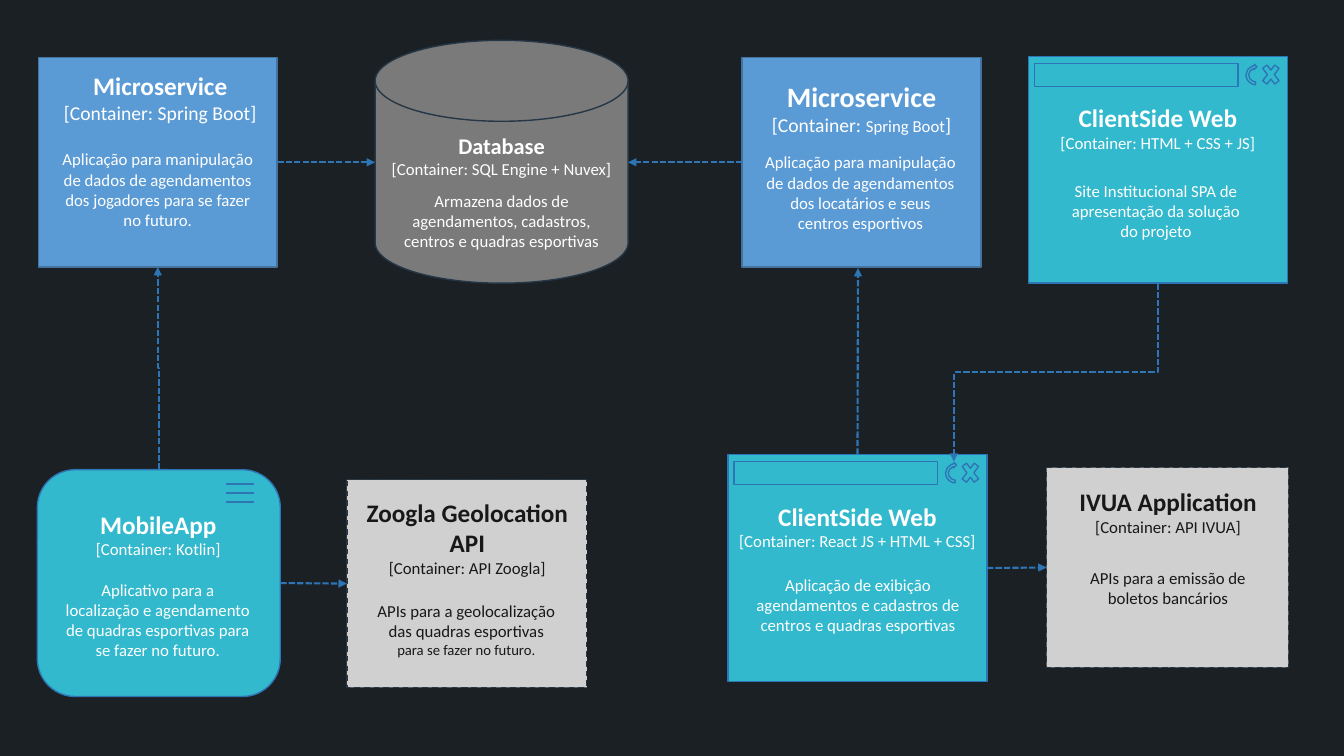
from pptx import Presentation
from pptx.dml.color import RGBColor
from pptx.enum.dml import MSO_LINE
from pptx.enum.shapes import MSO_CONNECTOR, MSO_SHAPE
from pptx.enum.text import MSO_AUTO_SIZE, PP_ALIGN
from pptx.oxml.ns import qn
from pptx.util import Inches, Pt
from lxml import etree

RECT = MSO_SHAPE.RECTANGLE
STRAIGHT, ELBOW = MSO_CONNECTOR.STRAIGHT, MSO_CONNECTOR.ELBOW
TOP, LEFT, BOTTOM, RIGHT = range(4)
FONT, BACKGROUND, BLUE = "Calibri", "1B2024", "2E75B6"

STYLES = {
    "service": dict(shape=RECT, fill="5B9BD5", line="43739E", dash=None, ink="FFFFFF"),
    "client": dict(shape=RECT, fill="32B9CD", line=BLUE, dash=None, ink="FFFFFF"),
    "mobile": dict(shape=MSO_SHAPE.ROUNDED_RECTANGLE, fill="32B9CD", line=BLUE, dash=None, ink="FFFFFF"),
    "store": dict(shape=MSO_SHAPE.FLOWCHART_MAGNETIC_DISK, fill="7A7A7A", line="253746", dash=None, ink="FFFFFF"),
    "external": dict(shape=RECT, fill="D0D0D0", line="253746", dash=MSO_LINE.DASH, ink="181818"),
}

# name: style, card box, heading box, heading, size, container runs, body box, body runs
# heading and body boxes are measured from the card's corner
CARDS = {
    "geolocation": ("external", (3.44, 4.76, 2.38, 2.06), (0.09, 0.12, 2.21, 0.91),
                    "Zoogla Geolocation API", 18, [("[Container: API Zoogla]", 12)],
                    (0.18, 1.15, 2.01, 0.68),
                    [("APIs para a geolocalização das quadras esportivas ", 12),
                     ("para se fazer no futuro.", 10.5)]),
    "database": ("store", (3.72, 0.4, 2.51, 2.41), (0.03, 0.86, 2.45, 0.57),
                 "Database", 16, [("[Container: SQL Engine + Nuvex]", 12)],
                 (0.11, 1.44, 2.29, 0.71),
                 [("Armazena dados de agendamentos, cadastros, centros e quadras esportivas", 12)]),
    "mobile": ("mobile", (0.37, 4.66, 2.41, 2.25), (-0.14, 0.34, 2.68, 0.61),
               "MobileApp", 18, [("[Container: Kotlin]", 12)],
               (0.17, 1.04, 2.05, 0.91),
               [("Aplicativo para a localização e agendamento de quadras esportivas "
                 "para se fazer no futuro.", 12)]),
    "venues": ("service", (7.36, 0.57, 2.37, 2.08), (0, 0.17, 2.37, 0.67),
               "Microservice", 20, [("[Container: ", 14), ("Spring Boot", 12), ("]", 14)],
               (0.11, 0.89, 2.13, 0.91),
               [("Aplicação para manipulação de dados de agendamentos dos locatários "
                 "e seus centros esportivos", 12)]),
    "payments": ("external", (10.38, 4.64, 2.4, 1.98), (0, 0.14, 2.41, 0.61),
                 "IVUA Application", 18, [("[Container: API IVUA]", 12)],
                 (0.24, 0.94, 1.93, 0.5),
                 [("APIs para a emissão de boletos bancários", 12)]),
    "app": ("client", (7.22, 4.51, 2.57, 2.25), (0, 0.41, 2.57, 0.61),
            "ClientSide Web", 18, [("[Container: React JS + HTML + CSS]", 12)],
            (-0.05, 1.14, 2.68, 0.71),
            [("Aplicação de exibição agendamentos e cadastros de centros e quadras esportivas", 12)]),
    "players": ("service", (0.38, 0.57, 2.37, 2.08), (0.03, 0.08, 2.36, 0.66),
                "Microservice", 18, [("[Container: Spring Boot]", 14)],
                (0.08, 0.86, 2.21, 0.91),
                [("Aplicação para manipulação de dados de agendamentos dos jogadores "
                  "para se fazer no futuro.", 12)]),
    "site": ("client", (10.2, 0.56, 2.57, 2.25), (0, 0.41, 2.57, 0.61),
             "ClientSide Web", 18, [("[Container: HTML + CSS + JS]", 12)],
             (0.26, 1.18, 2.01, 0.71),
             [("Site Institucional SPA de apresentação da solução do projeto", 12)]),
}
BROWSER = [(RECT, (0.06, 0.07, 2.02, 0.23), 0),
           (MSO_SHAPE.MATH_MULTIPLY, (2.29, 0.03, 0.23, 0.3), 0),
           (MSO_SHAPE.CIRCULAR_ARROW, (2.15, 0.07, 0.22, 0.23), 275)]
MENU_X, MENU_Y, MENU_WIDTH, MENU_STEP = 1.87, 0.14, 0.28, 0.09

# each end is a point, or a card and the side it joins
ARROWS = [
    (ELBOW, ("site", BOTTOM), (9.46, 4.58)),
    (STRAIGHT, ("venues", LEFT), (6.23, 1.61)),
    (STRAIGHT, ("players", RIGHT), (3.72, 1.61)),
    (ELBOW, ("mobile", TOP), ("players", BOTTOM)),
    (STRAIGHT, ("app", TOP), (8.51, 2.66)),
    (STRAIGHT, ("app", RIGHT), ("payments", LEFT)),
    (STRAIGHT, ("mobile", RIGHT), ("geolocation", LEFT)),
]


def color(value):
    return RGBColor.from_string(value)


def inside(card, box):
    return (card[0] + box[0], card[1] + box[1], *box[2:])


def add_shape(s, kind, box, fill, line, dash=None, rotation=0):
    sp = s.shapes.add_shape(kind, *map(Inches, box))
    sp.shadow.inherit = False
    sp.rotation = rotation
    if fill:
        sp.fill.solid()
        sp.fill.fore_color.rgb = color(fill)
    else:
        sp.fill.background()
    sp.line.color.rgb = color(line)
    for name, value in {"width": Pt(1), "dash_style": dash}.items():
        setattr(sp.line, name, value)
    return sp


def add_text(s, box, paragraphs, ink):
    tf = s.shapes.add_textbox(*map(Inches, box)).text_frame
    tf.word_wrap = True
    tf.auto_size = MSO_AUTO_SIZE.SHAPE_TO_FIT_TEXT
    for i, runs in enumerate(paragraphs):
        p = tf.add_paragraph() if i else tf.paragraphs[0]
        p.alignment = PP_ALIGN.CENTER
        for text, size, bold in runs:
            r = p.add_run()
            r.text = text
            r.font.color.rgb = color(ink)
            for name, value in {"name": FONT, "size": Pt(size), "bold": bold}.items():
                setattr(r.font, name, value)


def add_line(s, kind, start, end, width):
    c = s.shapes.add_connector(kind, *map(Inches, (*start, *end)))
    c.line.color.rgb = color(BLUE)
    c.line.width = Pt(width)
    etree.SubElement(c._element.spPr, qn("a:effectLst"))
    return c


def end_point(end):
    if not isinstance(end[0], str):
        return end
    x, y, w, h = CARDS[end[0]][1]
    return [(x + w / 2, y), (x, y + h / 2), (x + w / 2, y + h), (x + w, y + h / 2)][end[1]]


def turn_vertical(c, start, end):
    """Lay an elbow so that it leaves and arrives vertically."""
    dx, dy = end[0] - start[0], end[1] - start[1]
    w, h = abs(dy), abs(dx)
    c.left = Inches((start[0] + end[0] - w) / 2)
    c.top = Inches((start[1] + end[1] - h) / 2)
    c.width, c.height = Inches(w), Inches(h)
    xfrm = c._element.spPr.find(qn("a:xfrm"))
    xfrm.set("rot", str((90 if dy > 0 else 270) * 60000))
    xfrm.set("flipH", "0")
    xfrm.set("flipV", "1" if (dx < 0) == (dy < 0) else "0")


def add_arrow(s, shapes, kind, begin, finish):
    start, end = end_point(begin), end_point(finish)
    c = add_line(s, kind, start, end, 1.5)
    c.line.dash_style = MSO_LINE.SQUARE_DOT
    etree.SubElement(c.line._get_or_add_ln(), qn("a:tailEnd"), type="triangle")
    for target, connect in ((begin, c.begin_connect), (finish, c.end_connect)):
        if isinstance(target[0], str):
            connect(shapes[target[0]], target[1])
    if kind == ELBOW:
        turn_vertical(c, start, end)


def add_card(s, style, card, head_box, head, size, container, body_box, body):
    look = STYLES[style]
    sp = add_shape(s, look["shape"], card, look["fill"], look["line"], look["dash"])
    if style == "client":
        for kind, box, rotation in BROWSER:
            add_shape(s, kind, inside(card, box), None, BLUE, rotation=rotation)
    if style == "mobile":
        for i in range(3):
            x, y = card[0] + MENU_X, card[1] + MENU_Y + i * MENU_STEP
            add_line(s, STRAIGHT, (x, y), (x + MENU_WIDTH, y), 1)
    heading = [[(head, size, True)], [(*run, False) for run in container]]
    add_text(s, inside(card, head_box), heading, look["ink"])
    add_text(s, inside(card, body_box), [[(*run, False) for run in body]], look["ink"])
    return sp


def main():
    prs = Presentation()
    prs.slide_width, prs.slide_height = Inches(13.33), Inches(7.5)
    s = prs.slides.add_slide(prs.slide_layouts[6])
    s.background.fill.solid()
    s.background.fill.fore_color.rgb = color(BACKGROUND)
    shapes = {name: add_card(s, *card) for name, card in CARDS.items()}
    for arrow in ARROWS:
        add_arrow(s, shapes, *arrow)
    prs.save("out.pptx")


if __name__ == "__main__":
    main()
